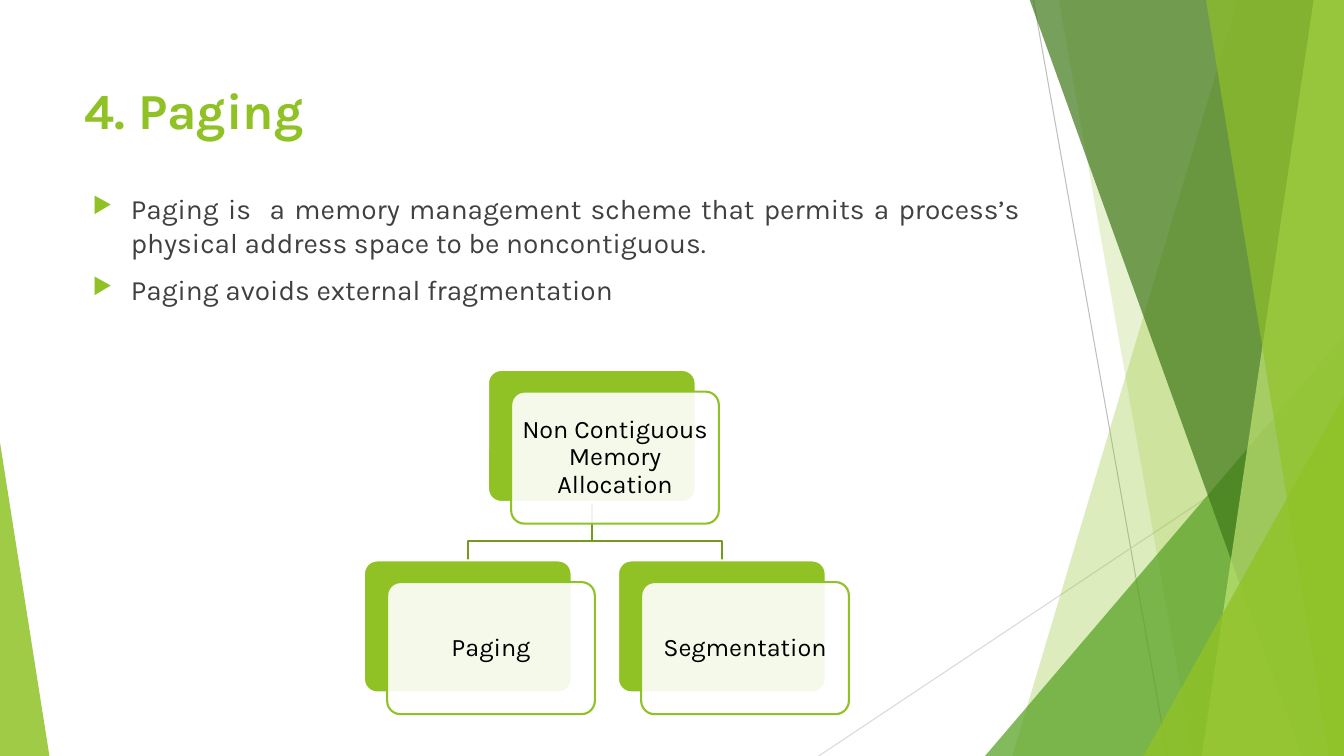
from lxml import etree
from pptx import Presentation
from pptx.dml.color import RGBColor
from pptx.enum.shapes import MSO_CONNECTOR, MSO_SHAPE
from pptx.enum.text import MSO_ANCHOR, PP_ALIGN
from pptx.oxml.ns import qn
from pptx.util import Inches, Pt

WIDTH, HEIGHT, TOP = 13.33, 7.5, -0.01
FONT = "Karla"
COLORS = {
    "green": "90C226", "leaf": "54A021", "forest": "3F7819", "lime": "C0E474",
    "branch": "739B1E", "white": "FFFFFF", "black": "000000", "body": "404040",
    "gray": "BFBFBF", "pale": "D9D9D9",
}
NODE_W, NODE_H, NODE_SHIFT = 2.06, 1.31, (0.23, 0.215)


def rgb(name):
    return RGBColor.from_string(COLORS[name])


def style(sp, fill=None, alpha=100, line=None):
    """Set fill with opacity in percent, and outline; None means none."""
    sp.shadow.inherit = False
    if fill:
        sp.fill.solid()
        sp.fill.fore_color.rgb = rgb(fill)
        if alpha < 100:
            color = sp.fill._xPr.find(qn("a:solidFill"))[0]
            etree.SubElement(color, qn("a:alpha"), val=str(alpha * 1000))
    else:
        sp.fill.background()
    if line:
        sp.line.color.rgb = rgb(line)
        sp.line.width = Pt(1.5)
    else:
        sp.line.fill.background()


def add_path(slide, points, close=True):
    (x, y), *rest = [(Inches(px), Inches(py)) for px, py in points]
    builder = slide.shapes.build_freeform(x, y, scale=1.0)
    builder.add_line_segments(rest, close=close)
    return builder.convert_to_shape()


def add_preset(slide, kind, x, y, w, h, adjust):
    sp = slide.shapes.add_shape(kind, Inches(x), Inches(y), Inches(w), Inches(h))
    sp.adjustments[0] = adjust
    return sp


def add_band(slide, top_x, bottom_x, fill, alpha):
    """Band from a slanted left side to the right edge of the slide."""
    sp = add_path(slide, [(top_x, TOP), (WIDTH, TOP), (WIDTH, HEIGHT), (bottom_x, HEIGHT)])
    style(sp, fill, alpha)


def add_corner(slide, x, y, w, apex, fill, alpha):
    sp = add_preset(slide, MSO_SHAPE.ISOSCELES_TRIANGLE, x, y, w, HEIGHT - y, apex)
    style(sp, fill, alpha)


def add_thin_line(slide, x1, y1, x2, y2, color):
    line = slide.shapes.add_connector(
        MSO_CONNECTOR.STRAIGHT, Inches(x1), Inches(y1), Inches(x2), Inches(y2))
    line.line.color.rgb = rgb(color)
    line.line.width = Pt(0.75)
    etree.SubElement(line._element.spPr, qn("a:effectLst"))


def add_run(p, text, size, color, bold=False):
    r = p.add_run()
    r.text = text
    r.font.name, r.font.size, r.font.bold = FONT, Pt(size), bold
    r.font.color.rgb = rgb(color)


def add_text_frame(slide, x, y, w, h, anchor):
    box = slide.shapes.add_textbox(Inches(x), Inches(y), Inches(w), Inches(h))
    tf = box.text_frame
    tf.word_wrap = True
    tf.vertical_anchor = anchor
    return tf


def add_bullet(p):
    pPr = p._p.get_or_add_pPr()
    pPr.set("marL", str(Inches(0.38)))
    pPr.set("indent", str(-Inches(0.38)))
    color = etree.SubElement(pPr, qn("a:buClr"))
    etree.SubElement(color, qn("a:srgbClr"), val=COLORS["green"])
    etree.SubElement(pPr, qn("a:buSzPct"), val="80000")
    etree.SubElement(pPr, qn("a:buChar"), char="▶")


def add_bullets(slide, items):
    tf = add_text_frame(slide, 0.82, 1.85, 9.4, 4.73, MSO_ANCHOR.TOP)
    for i, item in enumerate(items):
        p = tf.add_paragraph() if i else tf.paragraphs[0]
        p.alignment = PP_ALIGN.JUSTIFY
        p.space_before = Pt(10)
        add_bullet(p)
        add_run(p, item, 20, "body")


def add_node(slide, x, y, label):
    """Green card with a translucent labelled card shifted over it."""
    dx, dy = NODE_SHIFT
    back = add_preset(slide, MSO_SHAPE.ROUNDED_RECTANGLE, x, y, NODE_W, NODE_H, 0.1)
    style(back, "green", line="white")
    front = add_preset(slide, MSO_SHAPE.ROUNDED_RECTANGLE, x + dx, y + dy, NODE_W, NODE_H, 0.1)
    style(front, "white", 90, "green")
    tf = front.text_frame
    tf.word_wrap = True
    tf.vertical_anchor = MSO_ANCHOR.MIDDLE
    tf.margin_left = tf.margin_right = tf.margin_top = tf.margin_bottom = Inches(0.07)
    p = tf.paragraphs[0]
    p.alignment = PP_ALIGN.CENTER
    p.line_spacing = 0.9
    add_run(p, label, 18, "black")


def add_tree(slide, root, children):
    """Each node is (left, top, label)."""
    root_x, root_y = root[0] + NODE_W / 2, root[1] + NODE_H
    for x, y, _ in children:
        child_x, bend_y = x + NODE_W / 2, y - 0.19
        branch = add_path(slide, [(root_x, root_y), (root_x, bend_y),
                                  (child_x, bend_y), (child_x, y)], close=False)
        style(branch, line="branch")
    for node in (root, *children):
        add_node(slide, *node)


def add_decoration(slide):
    add_thin_line(slide, 10.25, 0, 11.58, HEIGHT, "gray")
    add_thin_line(slide, WIDTH, 4.03, 8.12, HEIGHT, "pale")
    add_band(slide, 12.28, 10.04, "green", 30)
    add_band(slide, 10.5, 11.83, "green", 20)
    add_corner(slide, 9.77, 3.33, 3.56, 1, "leaf", 72)
    add_band(slide, 10.21, 12.91, "forest", 70)
    add_band(slide, 13.03, 11.92, "lime", 70)
    add_band(slide, 11.96, 13.18, "green", 65)
    add_corner(slide, 11.34, 3.93, 1.99, 1, "green", 80)
    add_corner(slide, 0, 4.39, 0.49, 0, "green", 85)


def main():
    prs = Presentation()
    prs.slide_width, prs.slide_height = Inches(WIDTH), Inches(HEIGHT)
    slide = prs.slides.add_slide(prs.slide_layouts[6])
    add_decoration(slide)
    title = add_text_frame(slide, 0.74, 0.67, 9.4, 0.82, MSO_ANCHOR.MIDDLE)
    add_run(title.paragraphs[0], "4. Paging", 36, "green", bold=True)
    add_bullets(slide, [
        "Paging is  a memory management scheme that permits a process’s "
        "physical address space to be noncontiguous.",
        "Paging avoids external fragmentation",
    ])
    add_tree(slide, (4.84, 3.67, "Non Contiguous Memory Allocation"),
             [(3.61, 5.56, "Paging"), (6.13, 5.56, "Segmentation")])
    prs.save("out.pptx")


if __name__ == "__main__":
    main()
